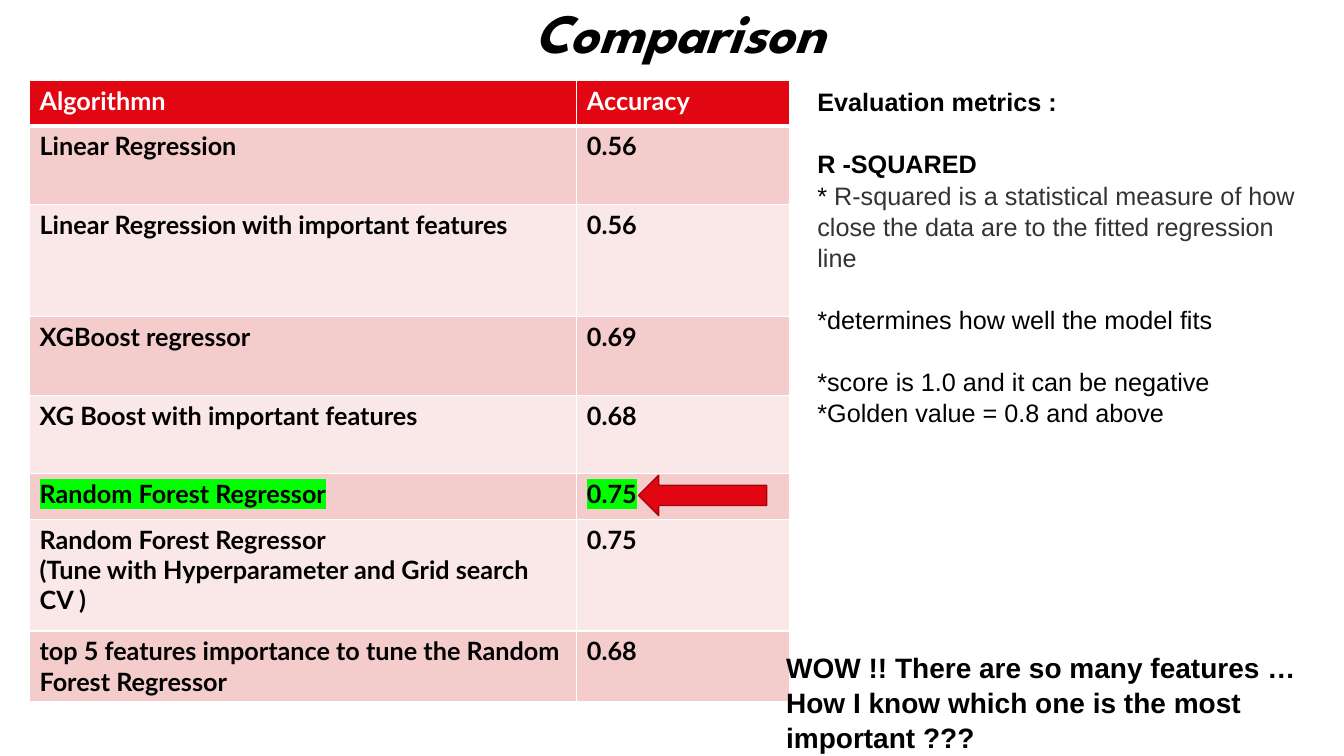
from dataclasses import dataclass

from lxml import etree
from pptx import Presentation, util as u
from pptx.dml.color import RGBColor
from pptx.enum import shapes, text
from pptx.oxml import ns

BLACK = RGBColor(0x00, 0x00, 0x00)
WHITE = RGBColor(0xFF, 0xFF, 0xFF)
GREY = RGBColor(0x33, 0x33, 0x33)
RED = RGBColor(0xE2, 0x06, 0x13)
DARK_RED = RGBColor(0xA7, 0x04, 0x0E)
ROSE = RGBColor(0xF4, 0xCC, 0xCC)
PALE_ROSE = RGBColor(0xFA, 0xE7, 0xE7)
GREEN = RGBColor(0x00, 0xFF, 0x00)

WIDTH, HEIGHT = u.Inches(13.33), u.Inches(7.5)


@dataclass(frozen=True)
class Frame:
    """A rectangle in percent of the slide's width and height."""
    left: float
    top: float
    width: float
    height: float

    def lengths(self):
        return across(self.left), down(self.top), across(self.width), down(self.height)


@dataclass(frozen=True)
class Span:
    words: str
    color: RGBColor = BLACK
    bold: bool = False


@dataclass(frozen=True)
class Line:
    spans: tuple[Span, ...]
    gap: float = 0


@dataclass(frozen=True)
class Result:
    algorithm: tuple[str, ...]
    accuracy: str
    height: float
    best: bool = False


TITLE = Frame(7.43, 0, 86.25, 9.33)
TABLE = Frame(2.2, 10.67, 56.56, 82.13)
ARROW = Frame(47.51, 62.87, 9.53, 5.33)
METRICS = Frame(60.08, TABLE.top, 38.55, 49.87)
QUESTION = Frame(57.75, 85.2, 42.25, 14.8)
COLUMN_SHARES = (0.72, 0.28)
SHORT, MEDIUM, TALL = 6, 10.4, 14.8
BLANK_LINE = 21.6

RESULTS = (
    Result(("Algorithmn",), "Accuracy", SHORT),
    Result(("Linear Regression",), "0.56", MEDIUM),
    Result(("Linear Regression with important features",), "0.56", TALL),
    Result(("XGBoost regressor",), "0.69", MEDIUM),
    Result(("XG Boost with important features",), "0.68", MEDIUM),
    Result(("Random Forest Regressor",), "0.75", SHORT, best=True),
    Result(("Random Forest Regressor",
            "(Tune with Hyperparameter and Grid search CV )"), "0.75", TALL),
    Result(("top 5 features importance to tune the Random Forest Regressor",),
           "0.68", 9.33),
)

METRIC_LINES = (
    Line((Span("Evaluation metrics :", bold=True),)),
    Line((Span("R -SQUARED", bold=True),), BLANK_LINE),
    Line((Span("*"),
          Span(" R-squared is a statistical measure of how close the data are "
               "to the fitted regression line", GREY))),
    Line((Span("*determines how well the model fits"),), BLANK_LINE),
    Line((Span("*score is 1.0 and it can be negative"),), BLANK_LINE),
    Line((Span("*Golden value = 0.8 and above"),)),
)

QUESTION_LINES = (
    Line((Span("WOW !! There are so many features …", bold=True),)),
    Line((Span("How I know which one is the most important ???", bold=True),)),
)


def across(percent: float) -> u.Emu:
    return u.Emu(round(WIDTH * percent / 100))


def down(percent: float) -> u.Emu:
    return u.Emu(round(HEIGHT * percent / 100))


def add_span(paragraph, span: Span, font_name: str, size: float):
    run = paragraph.add_run()
    run.text = span.words
    font = run.font
    font.name, font.size, font.bold = font_name, u.Pt(size), span.bold
    font.color.rgb = span.color
    return run


def write_lines(frame, lines, font_name: str, size: float, spacing: float = 1) -> list:
    """Fill a text frame and return its runs."""
    runs = []
    for index, line in enumerate(lines):
        paragraph = frame.paragraphs[0] if index == 0 else frame.add_paragraph()
        paragraph.line_spacing = spacing
        if line.gap:
            paragraph.space_before = u.Pt(line.gap)
        runs += [add_span(paragraph, span, font_name, size) for span in line.spans]
    return runs


def add_text(page, place: Frame, lines, font_name: str, size: float, spacing: float):
    box = page.shapes.add_textbox(*place.lengths())
    box.text_frame.word_wrap = True
    write_lines(box.text_frame, lines, font_name, size, spacing)
    return box


def highlight(run, color: RGBColor) -> None:
    mark = etree.Element(ns.qn("a:highlight"))
    etree.SubElement(mark, ns.qn("a:srgbClr"), val=str(color))
    run.font._element.find(ns.qn("a:solidFill")).addnext(mark)


def set_borders(cell, color: RGBColor, bottom: float, top: float) -> None:
    """Draw cell borders; the sides are one point wide."""
    properties = cell._tc.get_or_add_tcPr()
    widths = {"a:lnL": 1, "a:lnR": 1, "a:lnT": top, "a:lnB": bottom}
    for position, (tag, width) in enumerate(widths.items()):
        border = etree.Element(ns.qn(tag), w=str(u.Pt(width)))
        fill = etree.SubElement(border, ns.qn("a:solidFill"))
        etree.SubElement(fill, ns.qn("a:srgbClr"), val=str(color))
        properties.insert(position, border)


def add_results(page) -> None:
    table = page.shapes.add_table(len(RESULTS), len(COLUMN_SHARES), *TABLE.lengths()).table
    for column, share in zip(table.columns, COLUMN_SHARES):
        column.width = across(TABLE.width * share)
    for number, result in enumerate(RESULTS):
        table.rows[number].height = down(result.height)
        header = number == 0
        fill = RED if header else (PALE_ROSE, ROSE)[number % 2]
        color = WHITE if header else BLACK
        for cell, words in zip(table.rows[number].cells,
                               (result.algorithm, (result.accuracy,))):
            cell.fill.solid()
            cell.fill.fore_color.rgb = fill
            set_borders(cell, WHITE, bottom=3 if header else 1, top=3 if number == 1 else 1)
            lines = [Line((Span(word, color, True),)) for word in words]
            for run in write_lines(cell.text_frame, lines, "Lato", 18):
                if result.best:
                    highlight(run, GREEN)


def add_title(page) -> None:
    box = add_text(page, TITLE, (Line((Span("Comparison", bold=True),)),),
                   "League Spartan", 39.6, 0.9)
    box.text_frame.vertical_anchor = text.MSO_ANCHOR.MIDDLE
    paragraph = box.text_frame.paragraphs[0]
    paragraph.alignment = text.PP_ALIGN.CENTER
    paragraph.runs[0].font.italic = True


def add_best_arrow(page) -> None:
    arrow = page.shapes.add_shape(shapes.MSO_SHAPE.LEFT_ARROW, *ARROW.lengths())
    arrow.shadow.inherit = False
    arrow.fill.solid()
    arrow.fill.fore_color.rgb = RED
    arrow.line.color.rgb = DARK_RED
    arrow.line.width = u.Pt(1)


def main() -> None:
    deck = Presentation()
    deck.slide_width, deck.slide_height = WIDTH, HEIGHT
    page = deck.slides.add_slide(deck.slide_layouts[6])
    add_title(page)
    add_results(page)
    add_best_arrow(page)
    add_text(page, QUESTION, QUESTION_LINES, "Arial", 20, 1.04)
    add_text(page, METRICS, METRIC_LINES, "Arial", 18, 1.04)
    deck.save("out.pptx")


if __name__ == "__main__":
    main()
